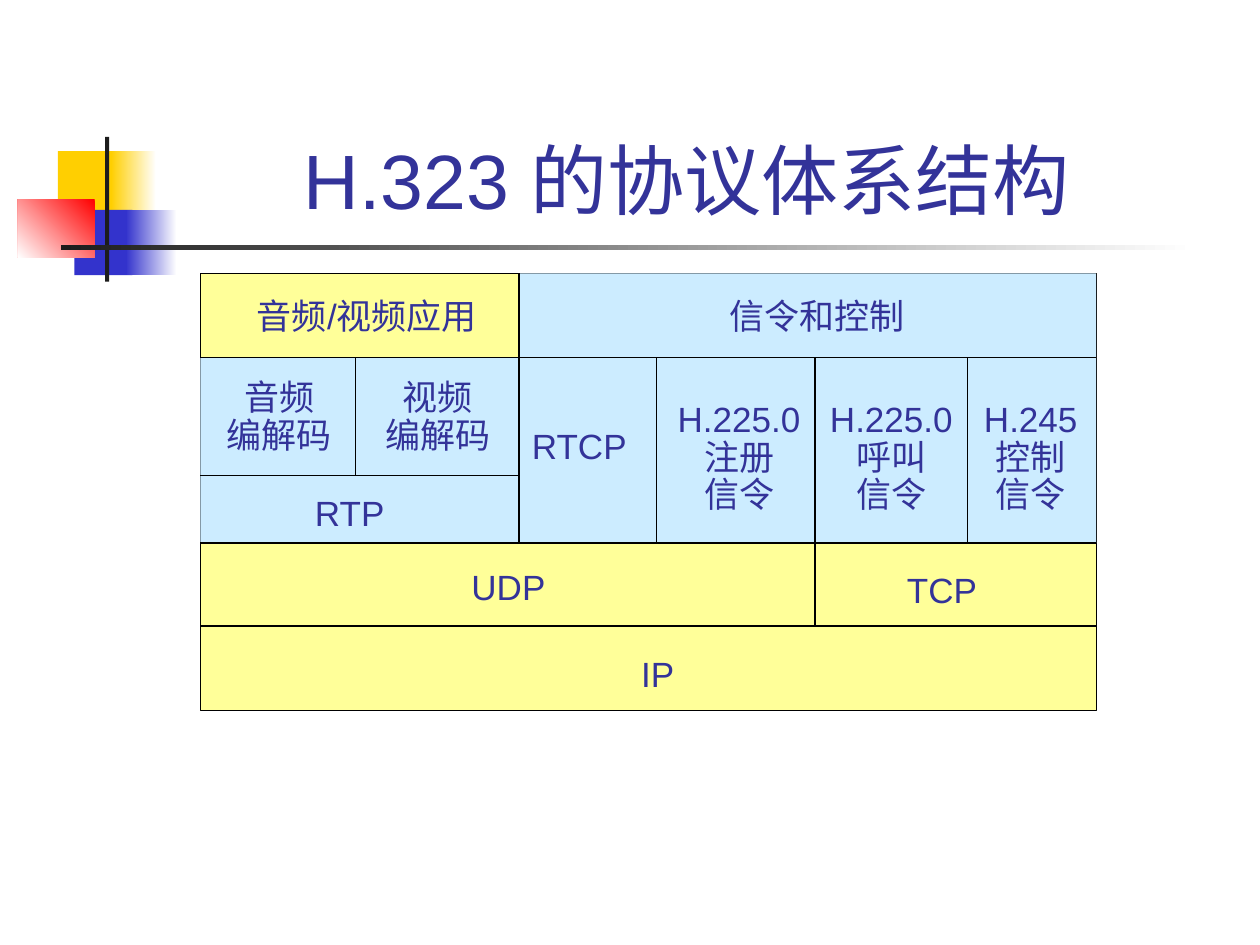
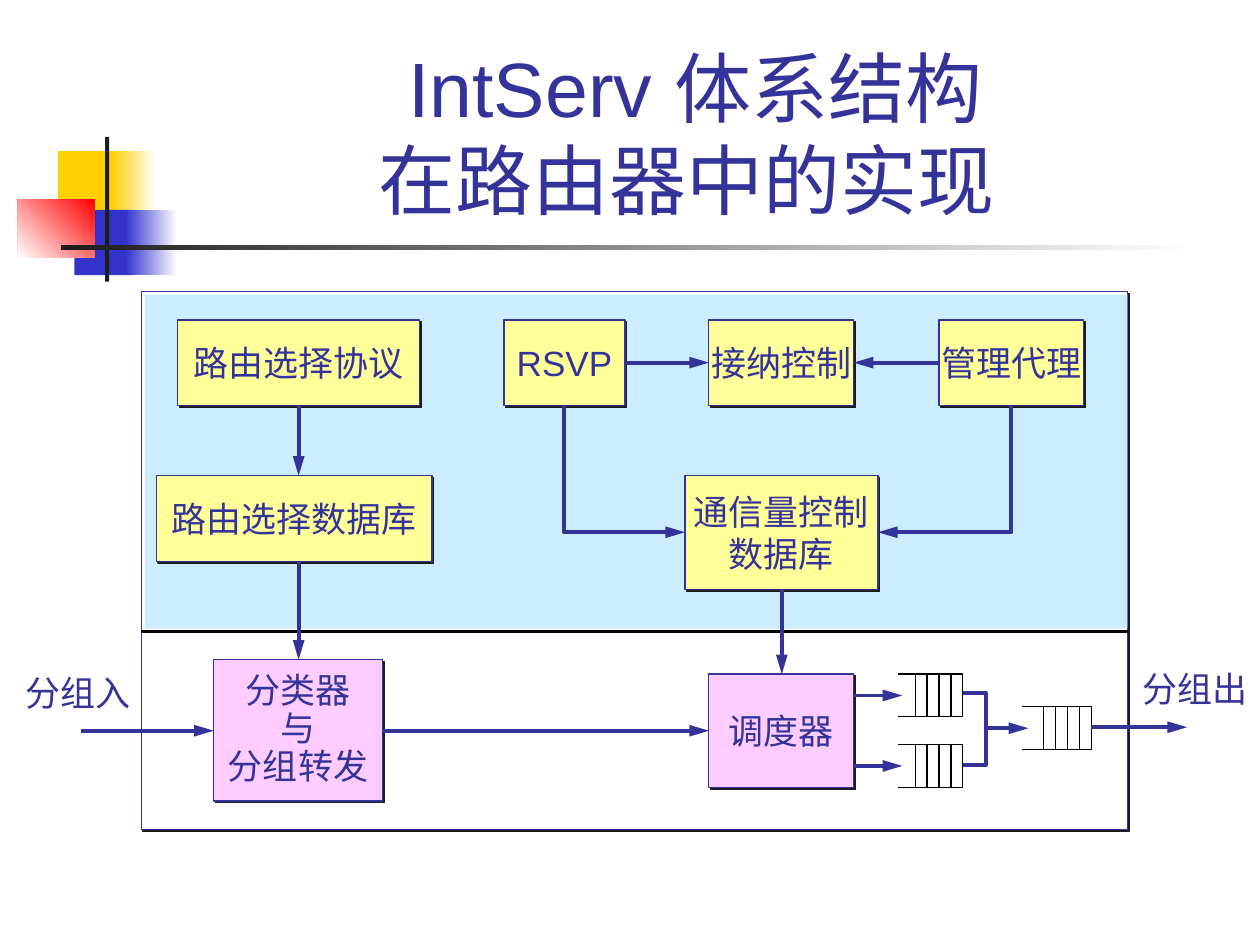
import pptx
import pptx.util
import pptx.dml.color
import pptx.enum.shapes
import pptx.enum.text
import pptx.oxml
import pptx.oxml.ns
from lxml import etree

Cm = pptx.util.Cm
Pt = pptx.util.Pt
RECTANGLE = pptx.enum.shapes.MSO_SHAPE.RECTANGLE
CENTER = pptx.enum.text.PP_ALIGN.CENTER

COLOURS = {
    "ink": "333399", "black": "000000", "white": "FFFFFF", "dark": "1C1C1C",
    "yellow": "FFFF99", "sky": "CCECFF", "pink": "FFCCFF",
    "gold": "FFCF01", "blue": "3333CC", "red": "FF0000",
}
FONT = "Arial"
THIN, THICK = 0.74, 2.24
TITLE_AREA = (3.2, 0.6, 21.64, 4.06)

ORNAMENTS = [
    ((1.17, 3.05, 1.22, 1.32), ["gold"], 0),
    ((2.24, 3.05, 0.91, 1.32), ["white", "gold"], 180),
    ((1.5, 4.23, 1.17, 1.32), ["blue"], 0),
    ((2.54, 4.23, 1.02, 1.32), ["white", "blue"], 180),
    ((0.36, 4.02, 1.55, 1.17), ["red", "white"], 225),
    ((2.12, 2.76, 0.08, 2.92), ["dark"], 0),
    ((1.23, 4.94, 22.86, 0.1), ["white", "dark"], 180),
]

STACK_TITLE = "H.323 的协议体系结构 "
COLUMNS = [4.04, 7.16, 10.46, 13.23, 16.43, 19.51, 22.1]
ROWS = [5.51, 7.21, 9.58, 10.95, 12.62, 14.33]
STACK_FILLS = [
    ((0, 0, 6, 5), "yellow", "black"),
    ((0, 1, 2, 3), "sky", None),
    ((2, 0, 6, 3), "sky", None),
]
STACK_RULES = [
    (0, 1, 6, 1), (0, 2, 2, 2), (0, 3, 6, 3), (0, 4, 6, 4), (2, 0, 2, 3),
    (4, 1, 4, 4), (3, 1, 3, 3), (5, 1, 5, 3), (1, 1, 1, 2),
]
STACK_LABELS = [
    (7.4, 5.82, 6.12, ["音频/视频应用"]),
    (16.47, 5.82, 4.4, ["信令和控制"]),
    (5.63, 7.54, 2.9, ["音频", "编解码"]),
    (8.83, 7.54, 2.9, ["视频", "编解码"]),
    (11.68, 8.43, 2.7, ["RTCP"]),
    (14.9, 7.98, 3.3, ["H.225.0", "注册", "信令"]),
    (17.97, 7.98, 3.3, ["H.225.0", "呼叫", "信令"]),
    (20.78, 7.98, 2.7, ["H.245", "控制", "信令"]),
    (7.05, 9.78, 2.3, ["RTP"]),
    (10.25, 11.28, 2.3, ["UDP"]),
    (18.99, 11.33, 2.3, ["TCP"]),
    (13.26, 13.03, 1.5, ["IP"]),
]

ROUTER_TITLE = "IntServ 体系结构\v在路由器中的实现 "
ROUTER_FRAME = (2.85, 5.88, 19.88, 10.85)
CONTROL_PANEL = (2.92, 5.94, 19.81, 6.73)
ROUTER_BOXES = [
    ((3.58, 6.45, 4.88, 1.73), "yellow", ["路由选择协议"], 1),
    ((3.15, 9.59, 5.56, 1.73), "yellow", ["路由选择数据库"], 1),
    ((10.16, 6.45, 2.44, 1.73), "yellow", ["RSVP"], 1),
    ((14.29, 6.45, 2.92, 1.73), "yellow", ["接纳控制"], 1),
    ((18.93, 6.45, 2.92, 1.73), "yellow", ["管理代理"], 1),
    ((13.81, 9.59, 3.89, 2.29), "yellow", ["通信量控制", "数据库"], 1),
    ((4.31, 13.3, 3.4, 2.85), "pink", ["分类器", "与", "分组转发"], 0.9),
    ((14.29, 13.59, 2.92, 2.29), "pink", ["调度器"], 1),
]
QUEUES = [(18.11, 13.59, 1.3), (18.11, 15.01, 1.3), (20.6, 14.25, 1.4)]
QUEUE_HEIGHT, SLOT = 0.86, 0.24
PANEL_RULE = [(2.85, 12.73), (22.73, 12.73)]
QUEUE_MERGE = [(19.41, 13.97), (19.88, 13.97), (19.88, 15.42), (19.41, 15.42)]
FLOWS = [
    [(22, 14.66), (23.93, 14.66)],
    [(15.76, 11.88), (15.76, 13.59)],
    [(17.21, 14.02), (18.19, 14.02)],
    [(17.21, 15.44), (18.19, 15.44)],
    [(7.71, 14.73), (14.29, 14.73)],
    [(1.63, 14.73), (4.31, 14.73)],
    [(19.88, 14.68), (20.73, 14.68)],
    [(6.02, 8.18), (6.02, 9.59)],
    [(6.02, 11.32), (6.02, 13.3)],
    [(12.6, 7.31), (14.29, 7.31)],
    [(18.93, 7.31), (17.21, 7.31)],
    [(11.37, 8.18), (11.37, 10.73), (13.81, 10.73)],
    [(20.39, 8.18), (20.39, 10.73), (17.7, 10.73)],
]
ROUTER_LABELS = [(1.58, 13.42, 2.8, ["分组入"]), (24.09, 13.33, 2.62, ["分组出"])]


def colour(name):
    return pptx.dml.color.RGBColor.from_string(COLOURS[name])


def add_child(parent, tag, **attributes):
    child = etree.SubElement(parent, pptx.oxml.ns.qn(tag))
    for key, value in attributes.items():
        child.set(key, str(value))
    return child


def write(frame, lines, size=20, spacing=None):
    frame.text = "\n".join(lines)
    for para in frame.paragraphs:
        para.alignment = CENTER
        para.font.name = FONT
        para.font.size = Pt(size)
        para.font.color.rgb = colour("ink")
        if spacing:
            para.line_spacing = spacing


def add_box(page, area, fills, outline=None, angle=0):
    box = page.shapes.add_shape(RECTANGLE, *map(Cm, area))
    box.shadow.inherit = False
    if len(fills) == 1:
        box.fill.solid()
        box.fill.fore_color.rgb = colour(fills[0])
    else:
        box.fill.gradient()
        box.fill.gradient_angle = angle
        for stop, name in zip(box.fill.gradient_stops, fills):
            stop.color.rgb = colour(name)
    if outline:
        box.line.color.rgb = colour(outline)
        box.line.width = Pt(THIN)
    else:
        box.line.fill.background()
    return box


def add_shadow(box):
    effects = box.element.spPr.find(pptx.oxml.ns.qn("a:effectLst"))
    shadow = add_child(effects, "a:outerShdw", blurRad=0, dist=Pt(1.4), dir=2700000)
    add_child(shadow, "a:srgbClr", val=COLOURS["dark"])


def add_line(page, points, name="black", width=THIN, arrow=False):
    points = [(Cm(x), Cm(y)) for x, y in points]
    if len(points) == 2:
        line = page.shapes.add_connector(
            pptx.enum.shapes.MSO_CONNECTOR.STRAIGHT, *points[0], *points[1])
    else:
        builder = page.shapes.build_freeform(*points[0], scale=1.0)
        builder.add_line_segments(points[1:], close=False)
        line = builder.convert_to_shape()
        line.fill.background()
    line.line.color.rgb = colour(name)
    line.line.width = Pt(width)
    if arrow:
        outline = line.element.spPr.find(pptx.oxml.ns.qn("a:ln"))
        add_child(outline, "a:tailEnd", type="triangle", w="med", len="lg")
    add_child(line.element.spPr, "a:effectLst")


def add_label(page, middle, top, width, lines):
    height = 1.12 if len(lines) == 1 else 0.26 + 0.76 * len(lines)
    box = page.shapes.add_textbox(Cm(middle - width / 2), Cm(top), Cm(width), Cm(height))
    box.text_frame.word_wrap = False
    write(box.text_frame, lines, spacing=0.9 if len(lines) > 1 else None)


def add_queue(page, left, top, width):
    right, bottom = left + width, top + QUEUE_HEIGHT
    add_line(page, [(left, top), (right, top), (right, bottom), (left, bottom)])
    for slot in range(1, 5):
        x = right - slot * SLOT
        add_line(page, [(x, top), (x, bottom)])


def add_page(deck, title):
    page = deck.slides.add_slide(deck.slide_layouts[5])
    write(page.shapes.title.text_frame, [title], size=44)
    return page


def prepare_layout(deck, page):
    layout = page.slide_layout
    for area, fills, angle in ORNAMENTS:
        ornament = add_box(page, area, fills, angle=angle)
        layout.shapes._spTree.append(ornament.element)
    title = layout.placeholders[0]
    title.left, title.top, title.width, title.height = map(Cm, TITLE_AREA)
    title.text_frame.vertical_anchor = pptx.enum.text.MSO_ANCHOR.BOTTOM


def draw_stack(page):
    for (left, top, right, bottom), fill, outline in STACK_FILLS:
        x, y = COLUMNS[left], ROWS[top]
        add_box(page, (x, y, COLUMNS[right] - x, ROWS[bottom] - y), [fill], outline)
    for left, top, right, bottom in STACK_RULES:
        add_line(page, [(COLUMNS[left], ROWS[top]), (COLUMNS[right], ROWS[bottom])])
    for label in STACK_LABELS:
        add_label(page, *label)


def draw_router(page):
    add_shadow(add_box(page, ROUTER_FRAME, ["white"], "ink"))
    add_box(page, CONTROL_PANEL, ["sky"])
    for area, fill, lines, spacing in ROUTER_BOXES:
        box = add_box(page, area, [fill], "ink")
        add_shadow(box)
        box.text_frame.word_wrap = False
        box.text_frame.vertical_anchor = pptx.enum.text.MSO_ANCHOR.MIDDLE
        write(box.text_frame, lines, spacing=spacing)
    for queue in QUEUES:
        add_queue(page, *queue)
    add_line(page, PANEL_RULE, width=THICK)
    add_line(page, QUEUE_MERGE, "ink", THICK)
    for flow in FLOWS:
        add_line(page, flow, "ink", THICK, arrow=True)
    for label in ROUTER_LABELS:
        add_label(page, *label)


deck = pptx.Presentation()
deck.slide_width, deck.slide_height = Cm(25.4), Cm(19.05)
stack_page = add_page(deck, STACK_TITLE)
prepare_layout(deck, stack_page)
draw_stack(stack_page)
draw_router(add_page(deck, ROUTER_TITLE))
deck.save("out.pptx")
